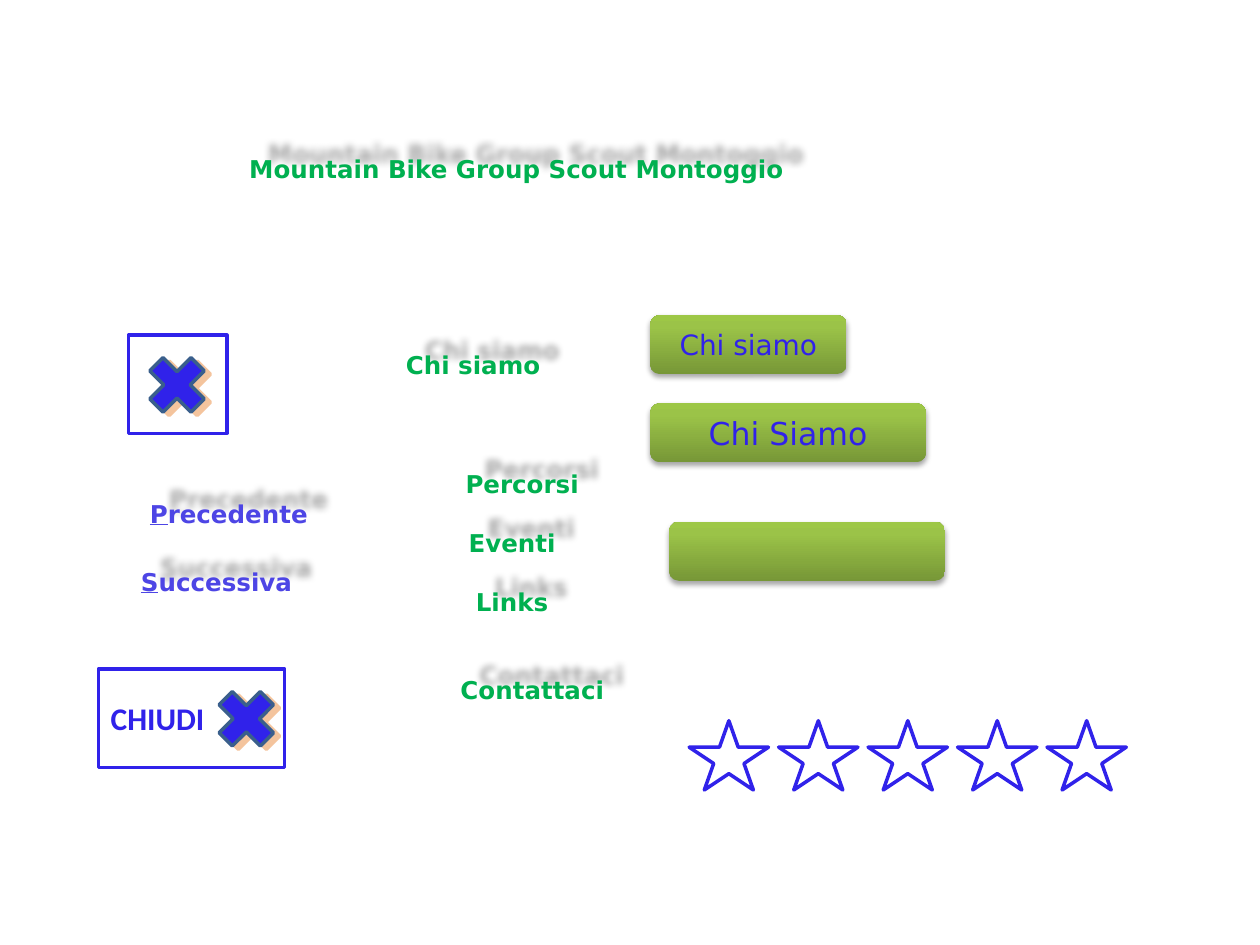
from pptx import Presentation
from pptx.dml.color import RGBColor
from pptx.enum.shapes import MSO_SHAPE
from pptx.enum.text import MSO_ANCHOR, MSO_AUTO_SIZE, PP_ALIGN
from pptx.oxml import parse_xml
from pptx.oxml.ns import nsdecls, qn
from pptx.util import Inches, Pt

RECT, ROUNDED = MSO_SHAPE.RECTANGLE, MSO_SHAPE.ROUNDED_RECTANGLE
CROSS, STAR = MSO_SHAPE.MATH_MULTIPLY, MSO_SHAPE.STAR_5_POINT
LEFT, CENTER = PP_ALIGN.LEFT, PP_ALIGN.CENTER
MIDDLE, GROW = MSO_ANCHOR.MIDDLE, MSO_AUTO_SIZE.SHAPE_TO_FIT_TEXT

THEME = {
    "green": "00B050", "blue": "3022EA", "violet": "4D45E5", "edge": "3A5F8C",
    "button": [(0, "779737"), (80, "9BC348"), (100, "9DC746")],
    "font": "DejaVu Sans", "close_font": "Calibri",
    "label": 14, "button_small": 16, "large": 18, "line": 2,
    "label_shadow": ("000000", 35, 4, 14, 321),
    "button_shadow": ("000000", 35, 3.1, 1.8, 90),
    "cross_shadow": ("E46C0A", 40, 0, 4, 29),
}

LABELS = [
    ("Mountain Bike Group Scout Montoggio", 1.56, 1.17, 5.08, 0.34),
    ("Chi siamo", 2.97, 2.73, 1.57, 0.39),
    ("Percorsi", 3.36, 3.67, 1.57, 0.39),
    ("Eventi", 3.28, 4.14, 1.57, 0.39),
    ("Links", 3.28, 4.61, 1.57, 0.39),
    ("Contattaci", 3.44, 5.31, 1.57, 0.39),
]
PAGERS = [("Precedente", 1.09, 3.91), ("Successiva", 1.02, 4.45)]
BUTTONS = [
    ("Chi siamo", 5.16, 2.5, 1.56, THEME["button_small"]),
    ("Chi Siamo", 5.16, 3.2, 2.19, THEME["large"]),
    ("", 5.31, 4.14, 2.19, THEME["large"]),
]
CLOSERS = [("", 1.02, 2.66, 0.78, 1.09), ("CHIUDI", 0.78, 5.31, 1.48, 1.64)]
STARS, STAR_LEFT, STAR_STEP = 5, 5.47, 0.71

deck = Presentation()
deck.slide_width, deck.slide_height = Inches(10), Inches(7.5)
slide = deck.slides.add_slide(deck.slide_layouts[6])


def cast_shadow(part, color, alpha, blur, distance, angle):
    part.shadow.inherit = False
    part._element.spPr.find(qn("a:effectLst")).append(parse_xml(
        f'<a:outerShdw {nsdecls("a")} blurRad="{Pt(blur)}" dist="{Pt(distance)}" '
        f'dir="{angle * 60000}" algn="ctr" rotWithShape="0"><a:srgbClr val="{color}">'
        f'<a:alpha val="{alpha * 1000}"/></a:srgbClr></a:outerShdw>'))


def write(frame, text, color, size=THEME["label"], font=THEME["font"],
          bold=True, align=CENTER, underlined=0):
    frame.word_wrap = True
    paragraph = frame.paragraphs[0]
    paragraph.alignment = align
    for words, underline in ((text[:underlined], True), (text[underlined:], False)):
        if words:
            run = paragraph.add_run()
            run.text = words
            run.font.name, run.font.size, run.font.bold = font, Pt(size), bold
            run.font.color.rgb = RGBColor.from_string(color)
            if underline:
                run.font.underline = True


def add_label(text, box, color, **style):
    label = slide.shapes.add_textbox(*map(Inches, box))
    write(label.text_frame, text, color, **style)
    label.text_frame.auto_size = GROW
    cast_shadow(label, *THEME["label_shadow"])


def add_figure(kind, box, fill=None, line=None):
    figure = slide.shapes.add_shape(kind, *map(Inches, box))
    figure.shadow.inherit = False
    figure.fill.background()
    if fill:
        figure.fill.solid()
        figure.fill.fore_color.rgb = RGBColor.from_string(fill)
    if line:
        figure.line.color.rgb = RGBColor.from_string(line)
        figure.line.width = Pt(THEME["line"])
    else:
        figure.line.fill.background()
    figure.text_frame.vertical_anchor = MIDDLE
    return figure


def shade(figure, stops):
    marks = "".join(f'<a:gs pos="{position * 1000}"><a:srgbClr val="{color}"/></a:gs>'
                    for position, color in stops)
    properties = figure._element.spPr
    properties.replace(properties.find(qn("a:noFill")), parse_xml(
        f'<a:gradFill {nsdecls("a")} rotWithShape="1"><a:gsLst>{marks}</a:gsLst>'
        '<a:lin ang="16200000" scaled="0"/></a:gradFill>'))


for text, *box in LABELS:
    add_label(text, box, THEME["green"])

for text, left, top in PAGERS:
    add_label(text, (left, top, 1.72, 0.34), THEME["violet"], align=LEFT, underlined=1)

for text, left, top, width, size in BUTTONS:
    button = add_figure(ROUNDED, (left, top, width, 0.47))
    shade(button, THEME["button"])
    cast_shadow(button, *THEME["button_shadow"])
    write(button.text_frame, text, THEME["blue"], size=size, bold=False)

for text, left, top, width, cross_left in CLOSERS:
    cross = add_figure(CROSS, (cross_left, top + 0.08, 0.63, 0.63),
                       THEME["blue"], THEME["edge"])
    cast_shadow(cross, *THEME["cross_shadow"])
    frame = add_figure(RECT, (left, top, width, 0.78), line=THEME["blue"])
    write(frame.text_frame, text, THEME["blue"], size=THEME["large"],
          font=THEME["close_font"], align=LEFT)

for place in range(STARS):
    add_figure(STAR, (STAR_LEFT + place * STAR_STEP, 5.72, 0.63, 0.55),
               line=THEME["blue"])

deck.save("out.pptx")
